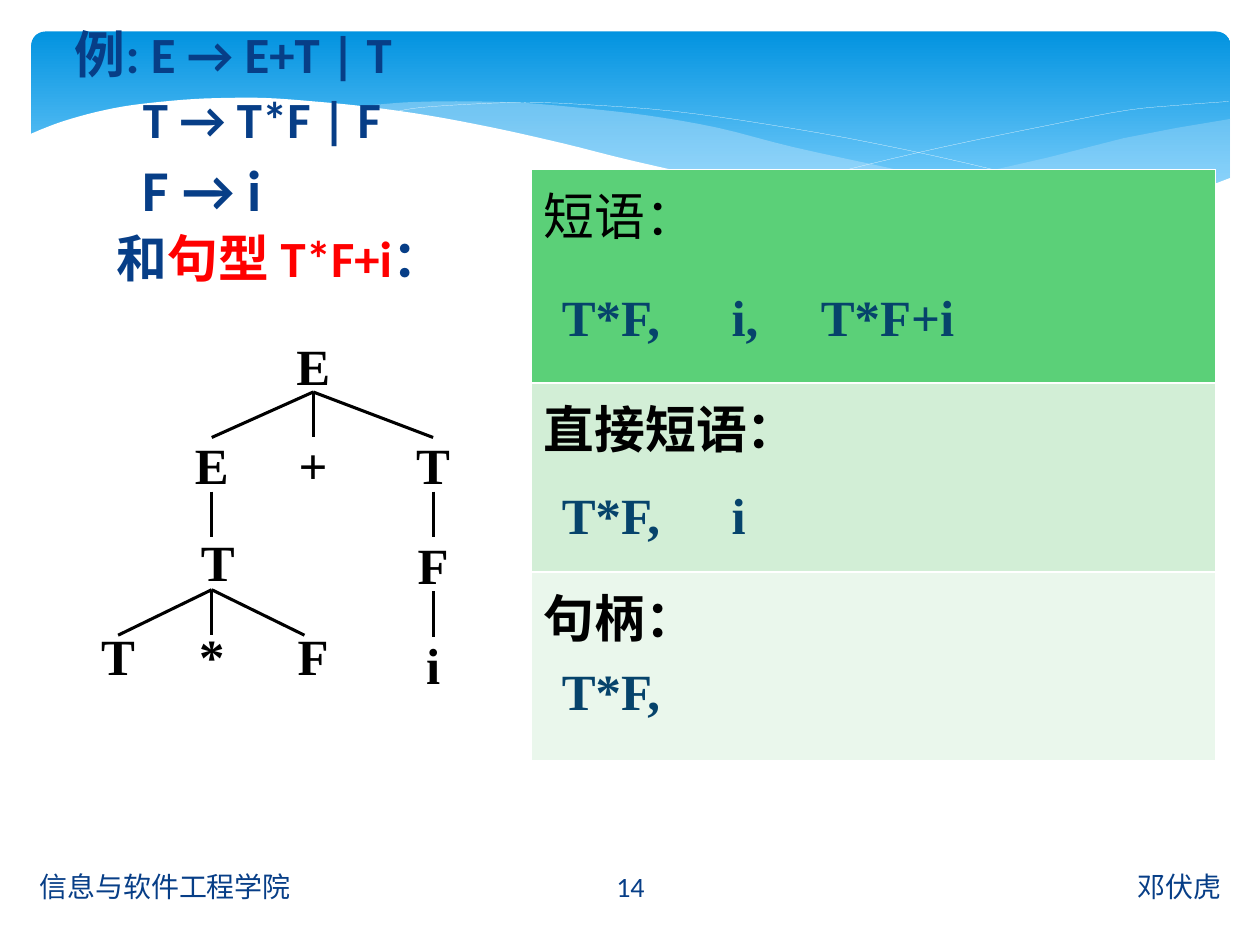
from dataclasses import dataclass

from lxml import etree
from pptx import Presentation
from pptx.dml.color import RGBColor
from pptx.enum.shapes import MSO_CONNECTOR, MSO_SHAPE
from pptx.enum.text import MSO_ANCHOR, MSO_AUTO_SIZE, PP_ALIGN
from pptx.oxml.ns import qn
from pptx.util import Pt


@dataclass(frozen=True)
class Theme:
    sans: str = "Calibri"
    serif: str = "Times New Roman"
    navy: str = "073E87"
    teal: str = "06436B"
    red: str = "FF0000"
    black: str = "000000"
    white: str = "FFFFFF"
    sky_top: str = "0293E0"
    sky_bottom: str = "83D3FE"
    mist: str = "C6E7FC"
    rows: tuple = ("5BD078", "D2EED6", "EAF7EC")
    body: float = 29
    large: float = 33
    footer: float = 16


THEME = Theme()

RIGHT_SWOOSH = [(685, 50), (655, 55), (624, 61), (581, 72), (524, 85), (458, 97),
                (490, 101), (527, 104), (560, 106), (597, 104), (628, 101),
                (655, 94), (685, 84)]
LEFT_SWOOSH = [(625, 102), (585, 96), (540, 89), (490, 78), (435, 66), (392, 55),
               (352, 48), (317, 44), (284, 41), (256, 40), (230, 40), (207, 41),
               (188, 44), (228, 50), (273, 58), (305, 66), (364, 79), (415, 90),
               (461, 98), (502, 103), (539, 106), (571, 107), (599, 105)]
FALLING_LINE = [(204, 47), (218, 44), (243, 42), (282, 40.5), (320, 42), (366, 45.5),
                (420, 53), (482, 64), (554, 80), (635, 102)]
RISING_LINE = [(423, 91), (466, 79), (521, 66), (584, 53), (626, 45), (657, 42),
               (684, 40)]
WAVE_EDGE = [(685.5, 83.5), (659, 93), (629, 100), (594, 104), (564, 105), (530, 104),
             (492, 101), (449, 94), (399, 86), (344, 74), (304, 64), (264, 55),
             (227, 48), (192, 43), (162, 40), (134, 38), (109, 38), (87, 39),
             (58, 42), (37, 46), (19, 51), (8, 55), (-1.5, 59)]
WAVE_BASE = [(-1.5, 143), (685.5, 143)]


def rgb(value):
    return RGBColor.from_string(value)


def add_run(paragraph, text, size, color, font, bold):
    run = paragraph.add_run()
    run.text = text
    run.font.size, run.font.name, run.font.bold = Pt(size), font, bold
    run.font.color.rgb = rgb(color)


def add_text(slide, box, text, size, color, font, bold=True,
             align=PP_ALIGN.LEFT, anchor=MSO_ANCHOR.MIDDLE):
    frame = slide.shapes.add_textbox(*map(Pt, box)).text_frame
    frame.word_wrap, frame.vertical_anchor = True, anchor
    frame.paragraphs[0].alignment = align
    add_run(frame.paragraphs[0], text, size, color, font, bold)


def smooth_curve(points, steps=4):
    padded = [points[0], *points, points[-1]]
    curve = [points[0]]
    for p0, p1, p2, p3 in zip(padded, padded[1:], padded[2:], padded[3:]):
        for step in range(1, steps + 1):
            t = step / steps
            curve.append(tuple(
                0.5 * (2 * b + (c - a) * t + (2 * a - 5 * b + 4 * c - d) * t ** 2
                       + (3 * b - a - 3 * c + d) * t ** 3)
                for a, b, c, d in zip(p0, p1, p2, p3)))
    return curve


def add_outline(slide, origin, points, fill=None, alpha=100, closed=True):
    placed = [(Pt(origin[0] + x), Pt(origin[1] + y)) for x, y in points]
    builder = slide.shapes.build_freeform(*placed[0])
    builder.add_line_segments(placed[1:], close=closed)
    shape = builder.convert_to_shape()
    shape.shadow.inherit = False
    if fill:
        shape.fill.solid()
        shape.fill.fore_color.rgb = rgb(fill)
        color = shape.fill._xPr.find(qn("a:solidFill"))[0]
        etree.SubElement(color, qn("a:alpha"), val=str(alpha * 1000))
        shape.line.fill.background()
    else:
        shape.fill.background()
        shape.line.color.rgb = rgb(THEME.white)
        shape.line.width = Pt(0.1)


def add_banner(slide, box):
    sky = slide.shapes.add_shape(MSO_SHAPE.ROUNDED_RECTANGLE, *map(Pt, box))
    sky.adjustments[0] = 0.07
    sky.shadow.inherit = False
    sky.line.fill.background()
    sky.fill.gradient()
    sky.fill.gradient_angle = 270
    stops = zip(sky.fill.gradient_stops, (THEME.sky_top, THEME.sky_bottom), (0, 0.9))
    for stop, color, position in stops:
        stop.color.rgb = rgb(color)
        stop.position = position
    origin = box[:2]
    add_outline(slide, origin, RIGHT_SWOOSH, THEME.mist, 29)
    add_outline(slide, origin, smooth_curve(LEFT_SWOOSH), THEME.mist, 40)
    for line in (FALLING_LINE, RISING_LINE):
        add_outline(slide, origin, smooth_curve(line), closed=False)
    add_outline(slide, origin, smooth_curve(WAVE_EDGE) + WAVE_BASE, THEME.white)


def add_footer(slide, box):
    left, top, width, height = box
    side, middle = 298, 91
    parts = [(left, side, "信息与软件工程学院", PP_ALIGN.LEFT),
             (left + (width - middle) / 2, middle, "14", PP_ALIGN.CENTER),
             (left + width - side, side, "邓伏虎", PP_ALIGN.RIGHT)]
    for x, part_width, text, align in parts:
        add_text(slide, (x, top, part_width, height), text, THEME.footer,
                 THEME.navy, THEME.sans, False, align)


def add_grammar(slide, box):
    body = slide.placeholders[1]
    body.left, body.top, body.width, body.height = map(Pt, box)
    frame = body.text_frame
    frame.auto_size, frame.word_wrap = MSO_AUTO_SIZE.NONE, True
    frame.vertical_anchor = MSO_ANCHOR.TOP
    lines = [(0, 0, THEME.body, [("例: E → E+T | T", THEME.navy)]),
             (0, 39, THEME.body, [("T → T*F | F", THEME.navy)]),
             (1, 39, THEME.large, [("F → i", THEME.navy)]),
             (1, 24, THEME.body, [("和", THEME.navy), ("句型 T*F+i", THEME.red),
                                  ("：", THEME.navy)])]
    for index, (level, indent, size, runs) in enumerate(lines):
        paragraph = frame.add_paragraph() if index else frame.paragraphs[0]
        paragraph.level = level
        paragraph.line_spacing, paragraph.space_before = 0.9, Pt(size * 0.2)
        properties = paragraph._p.get_or_add_pPr()
        properties.set("marL", str(Pt(indent)))
        properties.set("indent", "0")
        etree.SubElement(properties, qn("a:buNone"))
        for text, color in runs:
            add_run(paragraph, text, size, color, THEME.sans, True)


def add_tree(slide, box):
    left, top = box[:2]
    nodes = [("E", 131, 0), ("E", 73, 57), ("+", 131, 57), ("T", 199.5, 57),
             ("T", 76.5, 112.5), ("F", 199.5, 114), ("T", 19.5, 166),
             ("*", 73, 166), ("F", 131, 166), ("i", 199.5, 171)]
    branches = [((131, 31), (73, 131, 199.5)), ((73, 88), (73,)),
                ((73, 144), (19.5, 73, 126)), ((199.5, 88), (199.5,)),
                ((199.5, 145), (199.5,))]
    width, height, drop = 39, 31, 26
    for text, x, y in nodes:
        add_text(slide, (left + x - width / 2, top + y, width, height), text,
                 THEME.body, THEME.black, THEME.serif, align=PP_ALIGN.CENTER)
    for (x, y), ends in branches:
        for end in ends:
            branch = slide.shapes.add_connector(
                MSO_CONNECTOR.STRAIGHT, Pt(left + x), Pt(top + y),
                Pt(left + end), Pt(top + y + drop))
            branch.line.color.rgb = rgb(THEME.black)
            branch.line.width = Pt(1.75)
            etree.SubElement(branch._element.spPr, qn("a:effectLst"))


def add_answers(slide, box):
    left, top = box[:2]
    table = slide.shapes.add_table(3, 1, *map(Pt, box)).table
    rows = zip(table.rows, ("短语：", "直接短语：", "句柄："), (122, 108, 108), THEME.rows)
    for index, (row, label, height, fill) in enumerate(rows):
        row.height = Pt(height)
        cell = row.cells[0]
        cell.fill.solid()
        cell.fill.fore_color.rgb = rgb(fill)
        add_run(cell.text_frame.paragraphs[0], label, THEME.body, THEME.black,
                THEME.serif, index > 0)
    phrases = [("T*F,", 10.5, 62.5, 84), ("i,", 107.5, 62.5, 44),
               ("T*F+i", 158.5, 62.5, 110), ("T*F,", 10.5, 176, 84),
               ("i", 107.5, 176, 44), ("T*F,", 10.5, 276.5, 84)]
    for text, x, y, width in phrases:
        add_text(slide, (left + x, top + y, width, 42), text, THEME.body,
                 THEME.teal, THEME.serif, anchor=MSO_ANCHOR.TOP)


def add_example_slide(deck):
    slide = deck.slides.add_slide(deck.slide_layouts[1])
    title = slide.shapes.title._element
    title.getparent().remove(title)
    add_banner(slide, (18, 18, 685, 112))
    add_footer(slide, (15.5, 492, 689.5, 29))
    grammar = slide.placeholders[1]._element
    slide.shapes._spTree.append(grammar)
    add_grammar(slide, (35.5, 13.5, 312, 167))
    add_tree(slide, (48, 193, 219, 202))
    add_answers(slide, (303.5, 97, 391, 338))


deck = Presentation()
deck.slide_width, deck.slide_height = Pt(720), Pt(540)
add_example_slide(deck)
deck.save("out.pptx")
